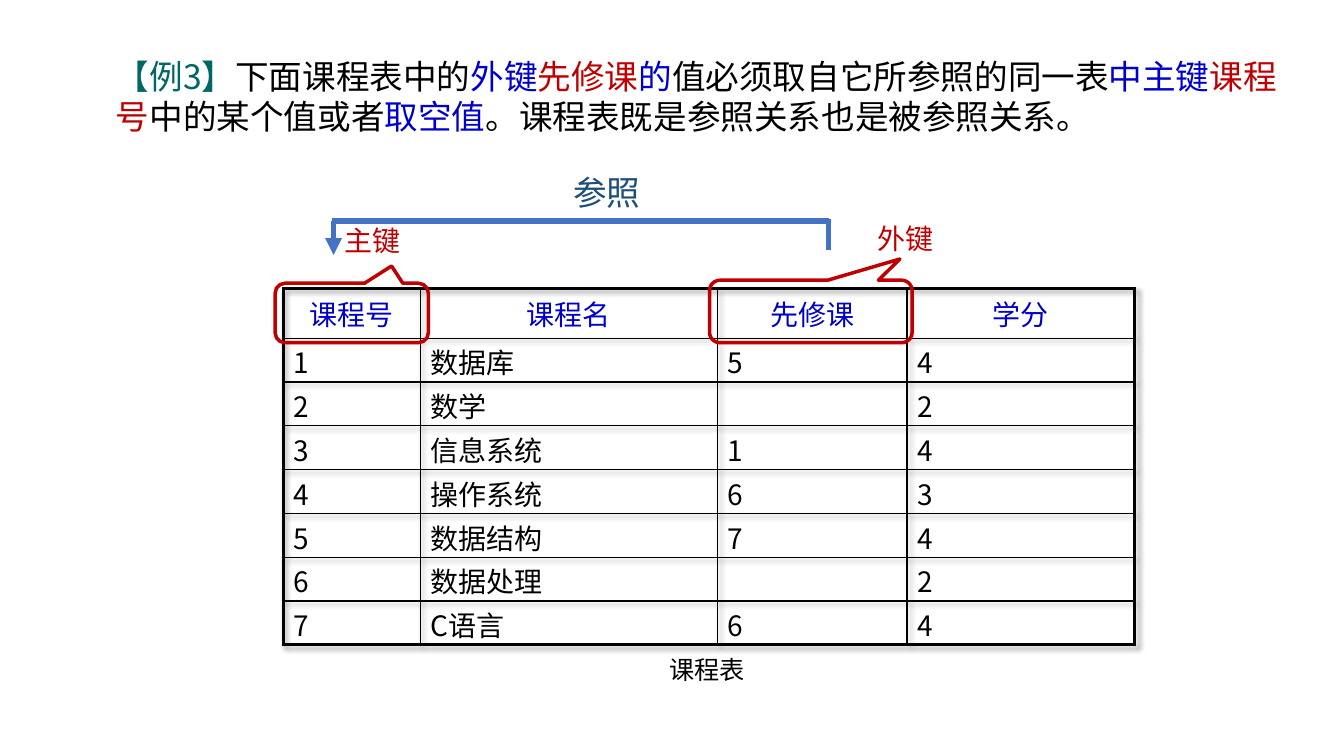
from dataclasses import dataclass

import lxml.etree
import pptx
import pptx.dml.color
import pptx.enum.shapes
import pptx.enum.text
import pptx.oxml
import pptx.oxml.ns
import pptx.slide
import pptx.table
import pptx.text.text
import pptx.util

RGBColor = pptx.dml.color.RGBColor
MSO_SHAPE = pptx.enum.shapes.MSO_SHAPE
MSO_ANCHOR = pptx.enum.text.MSO_ANCHOR
PP_ALIGN = pptx.enum.text.PP_ALIGN
qn = pptx.oxml.ns.qn

EMU_PER_PX = 4572  # 200 px to the inch
FONT = "Noto Sans CJK SC"
BLACK = RGBColor(0x00, 0x00, 0x00)
WHITE = RGBColor(0xFF, 0xFF, 0xFF)
BLUE = RGBColor(0x00, 0x00, 0xCC)
RED = RGBColor(0xC0, 0x00, 0x00)
TEAL = RGBColor(0x00, 0x66, 0x66)
NAVY = RGBColor(0x1F, 0x4E, 0x79)
ARROW_BLUE = RGBColor(0x44, 0x72, 0xC4)
NO_STYLE_TABLE = "{2D5ABB26-0587-4C30-8999-92F81FD0307C}"
OUTER_BORDER, INNER_BORDER = 2.25, 1.0


@dataclass(frozen=True)
class Box:
    left: int
    top: int
    width: int
    height: int

    def emu(self) -> tuple[int, int, int, int]:
        return px(self.left), px(self.top), px(self.width), px(self.height)


@dataclass(frozen=True)
class Label:
    text: str
    box: Box
    size: int
    color: RGBColor
    fill: RGBColor | None = None


@dataclass(frozen=True)
class Callout:
    box: Box
    tip_x: float
    tip_y: float


@dataclass(frozen=True)
class Segment:
    start: tuple[int, int]
    end: tuple[int, int]
    arrow: bool = False


HEADING_BOX = Box(110, 96, 2446, 202)
HEADING = [
    ("【例3】", TEAL), ("下面课程表中的", BLACK), ("外键", BLUE), ("先修课", RED),
    ("的", BLUE), ("值必须取自它所参照的同一表", BLACK), ("中主键", BLUE),
    ("课程号", RED), ("中的某个值或者", BLACK), ("取空值", BLUE),
    ("。课程表既是参照关系也是被参照关系。", BLACK),
]
COURSE_ROWS = [
    ("课程号", "课程名", "先修课", "学分"),
    ("1", "数据库", "5", "4"),
    ("2", "数学", "", "2"),
    ("3", "信息系统", "1", "4"),
    ("4", "操作系统", "6", "3"),
    ("5", "数据结构", "7", "4"),
    ("6", "数据处理", "", "2"),
    ("7", "C语言", "6", "4"),
]
TABLE_LEFT, TABLE_TOP = 562, 573
COLUMN_WIDTHS = [272, 590, 376, 452]
HEADER_HEIGHT, ROW_HEIGHT = 98, 87
LABELS = [
    Label("课程表", Box(1308, 1298, 242, 80), 18, BLACK),
    Label("主键", Box(664, 444, 186, 96), 20, RED, WHITE),
    Label("外键", Box(1722, 440, 280, 108), 20, RED, WHITE),
    Label("参照", Box(1118, 342, 194, 72), 24, NAVY),
]
CALLOUTS = [
    Callout(Box(546, 562, 304, 118), 0.26, -0.79),
    Callout(Box(1408, 556, 402, 124), 0.44, -0.84),
]
REFERENCE_SEGMENTS = [
    Segment((658, 438), (1646, 438)),
    Segment((662, 438), (662, 506), arrow=True),
    Segment((1644, 434), (1644, 496)),
]


def px(length: int) -> int:
    return pptx.util.Emu(length * EMU_PER_PX)


def style_paragraph(paragraph: pptx.text.text._Paragraph, size: int,
                    color: RGBColor | None = None) -> None:
    """Set the font for Latin and East Asian text alike."""
    font = paragraph.font
    font.size = pptx.util.Pt(size)
    font.name = FONT
    if color is not None:
        font.color.rgb = color
    lxml.etree.SubElement(font._element, qn("a:ea"), typeface=FONT)


def set_border(cell: pptx.table._Cell, side: str, width: float) -> None:
    properties = cell._tc.get_or_add_tcPr()
    line = lxml.etree.SubElement(properties, qn(f"a:ln{side}"), w=str(pptx.util.Pt(width)))
    fill = lxml.etree.SubElement(line, qn("a:solidFill"))
    lxml.etree.SubElement(fill, qn("a:srgbClr"), val=str(BLACK))


def add_table_shadow(table: pptx.table.Table) -> None:
    properties = table._tbl.tblPr
    properties.find(qn("a:tableStyleId")).text = NO_STYLE_TABLE
    properties.insert(0, pptx.oxml.parse_xml(
        f'<a:effectLst {pptx.oxml.ns.nsdecls("a")}>'
        '<a:outerShdw blurRad="50800" dist="38100" dir="2700000" algn="tl">'
        '<a:srgbClr val="000000"><a:alpha val="40000"/></a:srgbClr>'
        '</a:outerShdw></a:effectLst>'))


def add_course_table(slide: pptx.slide.Slide) -> None:
    last_row, last_column = len(COURSE_ROWS) - 1, len(COLUMN_WIDTHS) - 1
    box = Box(TABLE_LEFT, TABLE_TOP, sum(COLUMN_WIDTHS), HEADER_HEIGHT + last_row * ROW_HEIGHT)
    table = slide.shapes.add_table(last_row + 1, last_column + 1, *box.emu()).table
    table.first_row = table.horz_banding = False
    add_table_shadow(table)
    for column, width in zip(table.columns, COLUMN_WIDTHS):
        column.width = px(width)
    for i, values in enumerate(COURSE_ROWS):
        is_header = i == 0
        table.rows[i].height = px(HEADER_HEIGHT if is_header else ROW_HEIGHT)
        for j, value in enumerate(values):
            cell = table.cell(i, j)
            cell.margin_top = cell.margin_bottom = 0
            cell.vertical_anchor = MSO_ANCHOR.MIDDLE if is_header else MSO_ANCHOR.BOTTOM
            outer_sides = {"L": j == 0, "R": j == last_column, "T": is_header, "B": i == last_row}
            for side, is_outer in outer_sides.items():
                set_border(cell, side, OUTER_BORDER if is_outer else INNER_BORDER)
            cell.fill.background()
            cell.text = value
            paragraph = cell.text_frame.paragraphs[0]
            paragraph.alignment = PP_ALIGN.CENTER if is_header else PP_ALIGN.LEFT
            style_paragraph(paragraph, 20, BLUE if is_header else BLACK)


def add_heading(slide: pptx.slide.Slide) -> None:
    frame = slide.shapes.add_textbox(*HEADING_BOX.emu()).text_frame
    frame.word_wrap = True
    frame.margin_left = px(120)
    frame.margin_top = px(14)
    paragraph = frame.paragraphs[0]
    style_paragraph(paragraph, 24)
    for text, color in HEADING:
        run = paragraph.add_run()
        run.text = text
        run.font.color.rgb = color


def add_label(slide: pptx.slide.Slide, label: Label) -> None:
    shape = slide.shapes.add_textbox(*label.box.emu())
    if label.fill is not None:
        shape.fill.solid()
        shape.fill.fore_color.rgb = label.fill
    frame = shape.text_frame
    frame.word_wrap = True
    frame.margin_top = frame.margin_bottom = 0
    frame.text = label.text
    style_paragraph(frame.paragraphs[0], label.size, label.color)


def add_callout(slide: pptx.slide.Slide, callout: Callout) -> None:
    shape = slide.shapes.add_shape(MSO_SHAPE.ROUNDED_RECTANGULAR_CALLOUT, *callout.box.emu())
    shape.adjustments[0] = callout.tip_x
    shape.adjustments[1] = callout.tip_y
    shape.shadow.inherit = False
    shape.fill.background()
    shape.line.color.rgb = RED
    shape.line.width = pptx.util.Pt(2.5)


def add_segment(slide: pptx.slide.Slide, segment: Segment) -> None:
    ends = [px(value) for value in segment.start + segment.end]
    connector = slide.shapes.add_connector(pptx.enum.shapes.MSO_CONNECTOR.STRAIGHT, *ends)
    connector.line.color.rgb = ARROW_BLUE
    connector.line.width = pptx.util.Pt(4)
    if segment.arrow:
        lxml.etree.SubElement(connector.line._get_or_add_ln(), qn("a:tailEnd"), type="triangle")
    lxml.etree.SubElement(connector._element.spPr, qn("a:effectLst"))


def main() -> None:
    presentation = pptx.Presentation()
    presentation.slide_width, presentation.slide_height = px(2667), px(1500)
    slide = presentation.slides.add_slide(presentation.slide_layouts[6])
    add_course_table(slide)
    add_heading(slide)
    for label in LABELS:
        add_label(slide, label)
    for callout in CALLOUTS:
        add_callout(slide, callout)
    for segment in REFERENCE_SEGMENTS:
        add_segment(slide, segment)
    presentation.save("out.pptx")


if __name__ == "__main__":
    main()
